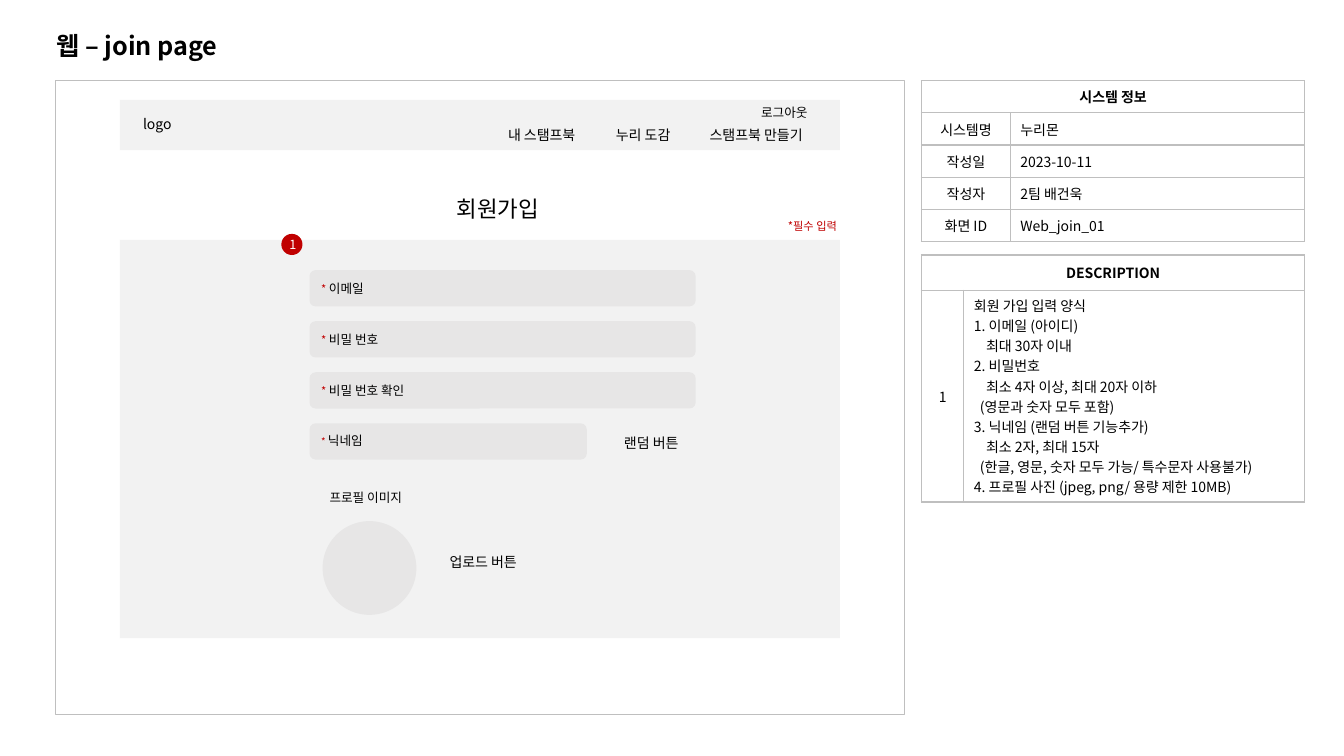
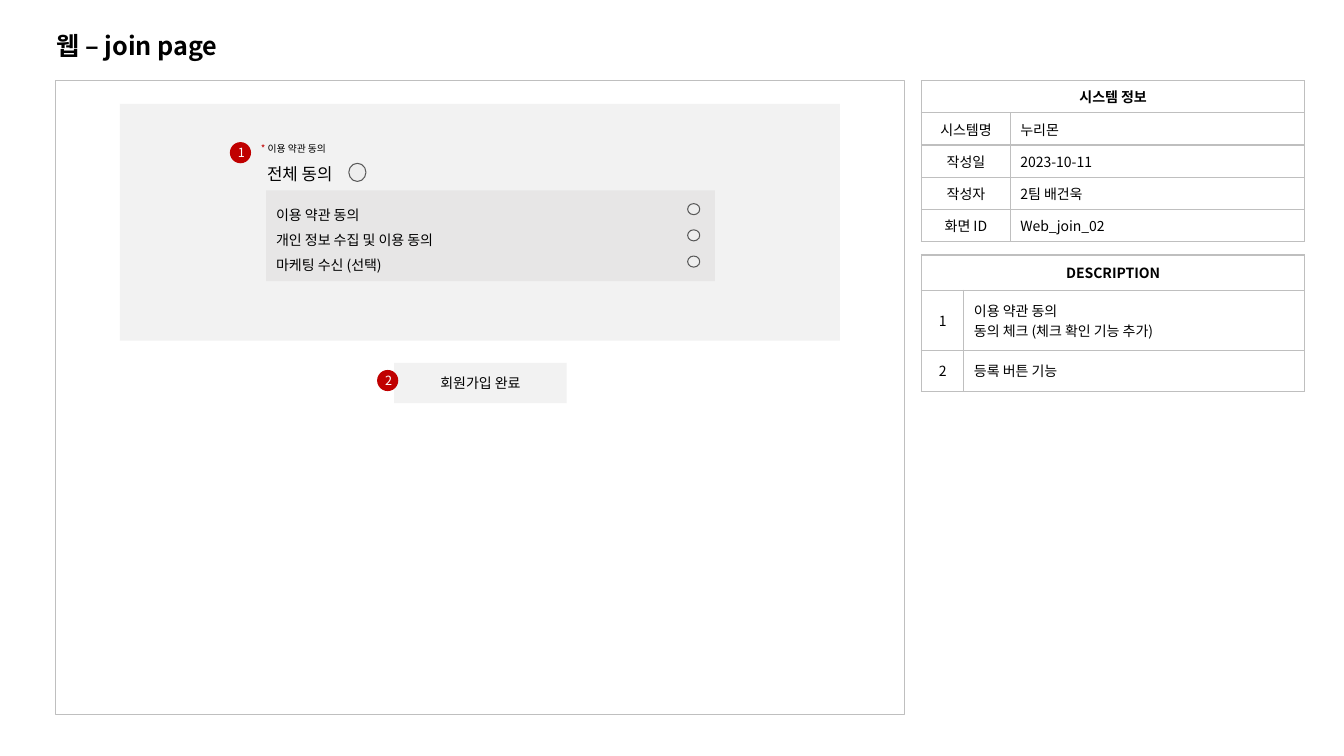
from lxml import etree
from pptx import Presentation
from pptx.dml.color import RGBColor
from pptx.enum import shapes, text
from pptx.oxml.ns import qn
from pptx.util import Inches, Pt

FONT = "Noto Sans CJK KR"
COLORS = {"ink": "000000", "white": "FFFFFF", "line": "BFBFBF", "panel": "F2F2F2",
          "field": "E7E6E6", "accent": "C00000", "check": "EEEEEE", "check_line": "595959"}
SHAPE = shapes.MSO_SHAPE
LEFT, CENTER, RIGHT = text.PP_ALIGN.LEFT, text.PP_ALIGN.CENTER, text.PP_ALIGN.RIGHT
TOP, MIDDLE, BOTTOM = text.MSO_ANCHOR.TOP, text.MSO_ANCHOR.MIDDLE, text.MSO_ANCHOR.BOTTOM

# Content shared by the slides
TITLE = "웹 – join page"
SYSTEM = [("시스템명", "누리몬"), ("작성일", "2023-10-11"), ("작성자", "2팀 배건욱")]
PANEL_LEFT, PANEL_WIDTH = 1.19, 7.14

# Content of the form slide; description lines are (indent, text)
FORM_NOTES = [("1", 2.03, [
    (0, "회원 가입 입력 양식"),
    (0, "1. 이메일 (아이디)"),
    (0.12, "최대 30자 이내"),
    (0, "2. 비밀번호"),
    (0.12, "최소 4자 이상, 최대 20자 이하"),
    (0.06, "(영문과 숫자 모두 포함)"),
    (0, "3. 닉네임 (랜덤 버튼 기능추가)"),
    (0.12, "최소 2자, 최대 15자"),
    (0.06, "(한글, 영문, 숫자 모두 가능/ 특수문자 사용불가)"),
    (0, "4. 프로필 사진 (jpeg, png/ 용량 제한 10MB)")])]
FIELDS = [("이메일", 3.83, 8, MIDDLE), ("비밀 번호", 3.83, 8, MIDDLE),
          ("비밀 번호 확인", 3.83, 8, MIDDLE), ("닉네임", 2.75, 7, BOTTOM)]
FORM_LABELS = [  # text, left, top, width, height, size
    ("logo", 1.32, 1.1, 0.49, 0.27, 10),
    ("로그아웃", 7.45, 0.99, 0.71, 0.25, 9),
    ("내 스탬프북", 4.94, 1.21, 0.95, 0.27, 10),
    ("누리 도감", 6.01, 1.21, 0.81, 0.27, 10),
    ("스탬프북 만들기", 6.94, 1.21, 1.23, 0.27, 10),
    ("랜덤 버튼", 6.09, 4.26, 0.81, 0.27, 10),
    ("프로필 이미지", 3.17, 4.81, 1, 0.25, 9),
    ("업로드 버튼", 4.36, 5.44, 0.95, 0.27, 10)]

# Content of the terms slide
TERMS_NOTES = [("1", 0.6, [(0, "이용 약관 동의"), (0, "동의 체크 (체크 확인 기능 추가)")]),
               ("2", 0.4, [(0, "등록 버튼 기능")])]
TERMS = ["이용 약관 동의", "개인 정보 수집 및 이용 동의", "마케팅 수신 (선택)"]


def rgb(name):
    return RGBColor.from_string(COLORS[name])


def style(font, size, color="ink", bold=False):
    font.name, font.size, font.bold = FONT, Pt(size), bold
    font.color.rgb = rgb(color)
    east_asian = etree.Element(qn("a:ea"), typeface=FONT)
    font._element.find(qn("a:latin")).addnext(east_asian)


def write(frame, lines, size, color="ink", bold=False, align=LEFT, anchor=TOP,
          inset=0.05, spacing=None, star=None):
    """Fill a text frame; star is the size of a leading required mark."""
    frame.word_wrap = True
    frame.vertical_anchor = anchor
    frame.margin_left = frame.margin_right = Inches(0.1)
    frame.margin_top = frame.margin_bottom = Inches(inset)
    for i, line in enumerate(lines):
        paragraph = frame.add_paragraph() if i else frame.paragraphs[0]
        paragraph.alignment = align
        if spacing:
            paragraph.line_spacing = spacing
        if star:
            mark, label = paragraph.add_run(), paragraph.add_run()
            mark.text, label.text = "* ", line
            style(mark.font, star, "accent")
            style(label.font, size, color, bold)
        else:
            paragraph.add_run().text = line
            style(paragraph.font, size, color, bold)


def add_box(slide, left, top, width, height, fill=None, line=None, weight=1, kind=SHAPE.RECTANGLE):
    box = slide.shapes.add_shape(kind, *map(Inches, (left, top, width, height)))
    box.shadow.inherit = False
    if fill:
        box.fill.solid()
        box.fill.fore_color.rgb = rgb(fill)
    else:
        box.fill.background()
    if line:
        box.line.color.rgb = rgb(line)
        box.line.width = Pt(weight)
    else:
        box.line.fill.background()
    return box


def add_text(slide, line, left, top, width, height, size, grow=False, **options):
    box = slide.shapes.add_textbox(*map(Inches, (left, top, width, height)))
    write(box.text_frame, [line], size, **options)
    if grow:
        box.text_frame.auto_size = text.MSO_AUTO_SIZE.SHAPE_TO_FIT_TEXT
    return box


def add_label(slide, line, left, top, width, height, size):
    label = add_text(slide, line, left, top, width, height, size, grow=True)
    label.text_frame.word_wrap = False


def add_badge(slide, number, left, top):
    badge = add_box(slide, left, top, 0.21, 0.21, "accent", kind=SHAPE.OVAL)
    write(badge.text_frame, [number], 9, "white", align=CENTER, anchor=MIDDLE)


def add_check(slide, left, top, width, height):
    add_box(slide, left, top, width, height, "check", "check_line", 0.75, SHAPE.OVAL)


def fill_cell(cell, lines, **options):
    write(cell.text_frame, [line for _, line in lines], 10, **options)
    cell.vertical_anchor = MIDDLE
    for paragraph, (indent, _) in zip(cell.text_frame.paragraphs, lines):
        if indent:
            paragraph._p.get_or_add_pPr().set("marL", str(Inches(indent)))


def border_cell(cell):
    cell.fill.background()
    properties = cell._tc.get_or_add_tcPr()
    for i, side in enumerate(("a:lnL", "a:lnR", "a:lnT", "a:lnB")):
        edge = etree.Element(qn(side), w=str(Pt(1)))
        fill = etree.SubElement(edge, qn("a:solidFill"))
        etree.SubElement(fill, qn("a:srgbClr"), val=COLORS["line"])
        properties.insert(i, edge)


def add_info_table(slide, top, heading, heading_height, key_width, rows):
    """Two columns under a merged heading; rows are (key, height, lines)."""
    heights = [heading_height] + [height for _, height, _ in rows]
    table = slide.shapes.add_table(len(heights), 2, Inches(9.14), Inches(top),
                                   Inches(3.8), Inches(sum(heights))).table
    table.first_row = table.horz_banding = False
    table.columns[0].width = Inches(key_width)
    table.columns[1].width = Inches(3.8 - key_width)
    for row, height in zip(table.rows, heights):
        row.height = Inches(height)
    for cell in table.iter_cells():
        border_cell(cell)
    table.cell(0, 0).merge(table.cell(0, 1))
    fill_cell(table.cell(0, 0), [(0, heading)], bold=True, align=CENTER)
    for i, (key, _, lines) in enumerate(rows, 1):
        fill_cell(table.cell(i, 0), [(0, key)], align=CENTER)
        fill_cell(table.cell(i, 1), lines)


def add_page(deck, screen_id, notes):
    """Title, screen frame and both tables."""
    slide = deck.slides.add_slide(deck.slide_layouts[6])
    facts = SYSTEM + [("화면 ID", screen_id)]
    add_info_table(slide, 0.8, "시스템 정보", 0.32, 0.88,
                   [(key, 0.32, [(0, value)]) for key, value in facts])
    add_info_table(slide, 2.53, "DESCRIPTION", 0.35, 0.42, notes)
    add_box(slide, 0.55, 0.8, 8.42, 6.29, line="line")
    add_text(slide, TITLE, 0.46, 0.25, 2.03, 0.4, 18, grow=True, bold=True)
    return slide


def build_form(deck):
    slide = add_page(deck, "Web_join_01", FORM_NOTES)
    # Header and form panels
    add_box(slide, PANEL_LEFT, 0.99, PANEL_WIDTH, 0.5, "panel")
    add_box(slide, PANEL_LEFT, 2.38, PANEL_WIDTH, 3.95, "panel")
    add_text(slide, "회원가입", 4.36, 1.89, 1.16, 0.37, 16, grow=True, align=CENTER)
    add_text(slide, "*필수 입력", 7.55, 2.14, 0.85, 0.21, 8, color="accent",
             align=RIGHT, anchor=MIDDLE, inset=0.1)
    # Input fields
    field_step = (4.2 - 2.68) / (len(FIELDS) - 1)
    for i, (name, width, star, anchor) in enumerate(FIELDS):
        field = add_box(slide, 3.07, 2.68 + i * field_step, width, 0.36, "field",
                        kind=SHAPE.ROUNDED_RECTANGLE)
        write(field.text_frame, [name], 9, anchor=anchor, inset=0.1, star=star)
    # Profile image, labels and marker
    add_box(slide, 3.2, 5.17, 0.93, 0.93, "field", kind=SHAPE.OVAL)
    for label in FORM_LABELS:
        add_label(slide, *label)
    add_badge(slide, "1", 2.79, 2.32)


def build_terms(deck):
    slide = add_page(deck, "Web_join_02", TERMS_NOTES)
    # Agreement panel
    add_box(slide, PANEL_LEFT, 1.03, PANEL_WIDTH, 2.35, "panel")
    add_text(slide, "이용 약관 동의", 2.49, 1.36, 1.96, 0.28, 7, inset=0.1, star=7)
    add_text(slide, "전체 동의", 2.55, 1.52, 3.01, 0.21, 12, inset=0.1)
    add_check(slide, 3.46, 1.62, 0.17, 0.18)
    terms = add_box(slide, 2.64, 1.89, 4.45, 0.9, "field")
    write(terms.text_frame, TERMS, 10, anchor=MIDDLE, inset=0.1, spacing=1.5)
    for i in range(len(TERMS)):
        add_check(slide, 6.82, 2.02 + i * 0.26, 0.12, 0.11)
    # Submit button and markers
    submit = add_box(slide, 3.91, 3.6, 1.71, 0.4, "panel")
    write(submit.text_frame, ["회원가입 완료"], 10, align=CENTER, anchor=MIDDLE, inset=0.1)
    add_badge(slide, "1", 2.28, 1.41)
    add_badge(slide, "2", 3.74, 3.67)


def main():
    deck = Presentation()
    deck.slide_width, deck.slide_height = Inches(13.33), Inches(7.5)
    build_form(deck)
    build_terms(deck)
    deck.save("out.pptx")


if __name__ == "__main__":
    main()
